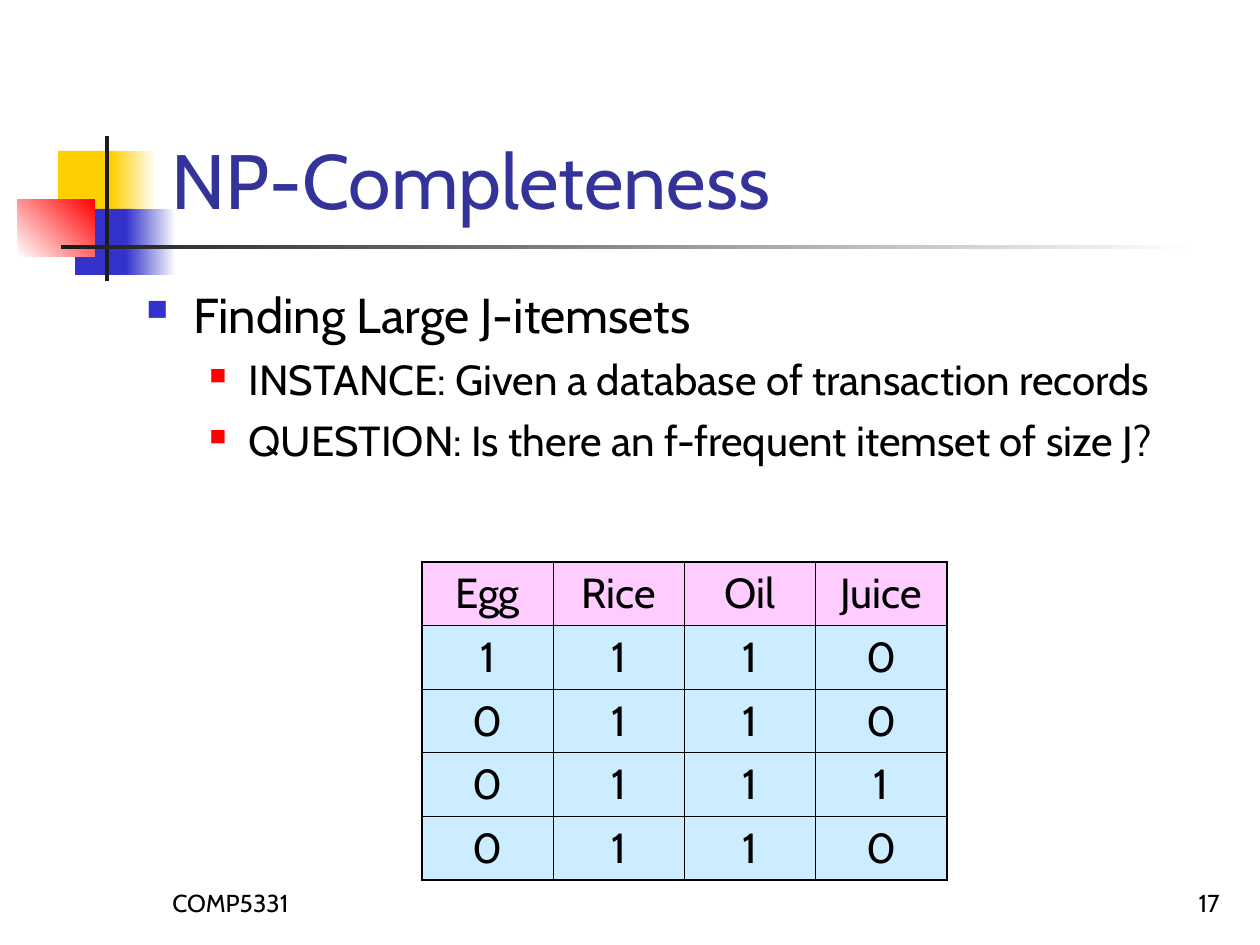
from lxml.etree import SubElement
from pptx import Presentation
from pptx.dml.color import RGBColor
from pptx.enum.shapes import MSO_SHAPE
from pptx.enum.text import MSO_ANCHOR, PP_ALIGN
from pptx.oxml.ns import qn
from pptx.util import Pt

PX = 914400 / 126
FONT = "Cabin"
COLORS = {
    "yellow": "FFCF01", "blue": "3333CC", "red": "FF0000", "white": "FFFFFF",
    "charcoal": "1C1C1C", "black": "000000", "title": "333399",
    "header": "FFCCFF", "cell": "CCECFF",
}
# Bullet colour, bullet size %, left margin px, hanging px, font pt, space before pt
LEVELS = [("blue", 60, 47, 47, 28, 0), ("red", 55, 102, 39, 24, 6)]
POINTS = [
    (0, "Finding Large J-itemsets"),
    (1, "INSTANCE: Given a database of transaction records"),
    (1, "QUESTION: Is there an f-frequent itemset of size J?"),
]
TRANSACTIONS = [
    ["Egg", "Rice", "Oil", "Juice"],
    [1, 1, 1, 0],
    [0, 1, 1, 0],
    [0, 1, 1, 1],
    [0, 1, 1, 0],
]


def emu(px):
    return round(px * PX)


def rgb(name):
    return RGBColor.from_string(COLORS[name])


def add_run(paragraph, text, size, color="black"):
    run = paragraph.add_run()
    run.text = text
    run.font.name, run.font.size = FONT, Pt(size)
    run.font.color.rgb = rgb(color)


def add_text_box(slide, box, anchor):
    frame = slide.shapes.add_textbox(*map(emu, box)).text_frame
    frame.word_wrap = True
    frame.vertical_anchor = anchor
    return frame


def add_block(slide, box, start, end=None, angle=0):
    block = slide.shapes.add_shape(MSO_SHAPE.RECTANGLE, *map(emu, box))
    block.shadow.inherit = False
    block.line.fill.background()
    if end is None:
        block.fill.solid()
        block.fill.fore_color.rgb = rgb(start)
        return
    block.fill.gradient()
    block.fill.gradient_angle = angle
    for stop, color, position in zip(block.fill.gradient_stops, (start, end), (0, 1)):
        stop.color.rgb = rgb(color)
        stop.position = position


def add_emblem(slide, left, top):
    def place(x, y, width, height, *paint):
        add_block(slide, (left + x, top + y, width, height), *paint)

    # Coloured squares
    place(40, 15, 60, 66, "yellow")
    place(93, 15, 45, 66, "yellow", "white")
    place(57, 73, 58, 66, "blue")
    place(108, 73, 50, 66, "blue", "white")
    place(0, 63, 77, 58, "white", "red", 45)
    # Crossing bars
    place(87, 0, 4, 145, "charcoal")
    place(43, 109, 1134, 4, "charcoal", "white")


def add_title(slide, box, text):
    title = slide.shapes.title
    title.left, title.top, title.width, title.height = map(emu, box)
    title.text_frame.vertical_anchor = MSO_ANCHOR.BOTTOM
    paragraph = title.text_frame.paragraphs[0]
    paragraph.alignment = PP_ALIGN.LEFT
    add_run(paragraph, text, 44, "title")


def add_bullet(paragraph, color, percent, margin, hanging):
    properties = paragraph._p.get_or_add_pPr()
    properties.set("marL", str(emu(margin)))
    properties.set("indent", str(-emu(hanging)))
    bullet_color = SubElement(properties, qn("a:buClr"))
    SubElement(bullet_color, qn("a:srgbClr"), val=COLORS[color])
    SubElement(properties, qn("a:buSzPct"), val=str(percent * 1000))
    SubElement(properties, qn("a:buChar"), char="■")


def add_points(slide, box):
    frame = add_text_box(slide, box, MSO_ANCHOR.TOP)
    for index, (level, text) in enumerate(POINTS):
        paragraph = frame.add_paragraph() if index else frame.paragraphs[0]
        *bullet, size, space = LEVELS[level]
        add_bullet(paragraph, *bullet)
        paragraph.level = level
        paragraph.space_before = Pt(space)
        add_run(paragraph, text, size)


def add_border(cell, side, width):
    line = SubElement(cell._tc.get_or_add_tcPr(), qn(f"a:{side}"), w=str(Pt(width)))
    fill = SubElement(line, qn("a:solidFill"))
    SubElement(fill, qn("a:srgbClr"), val=COLORS["black"])


def add_transactions(slide, box):
    left, top, width, height = map(emu, box)
    rows, cols = len(TRANSACTIONS), len(TRANSACTIONS[0])
    table = slide.shapes.add_table(rows, cols, left, top, width, height).table
    for r, record in enumerate(TRANSACTIONS):
        for c, value in enumerate(record):
            cell = table.cell(r, c)
            # Outer edges are heavier than inner ones
            edges = {"lnL": c == 0, "lnR": c == cols - 1,
                     "lnT": r == 0, "lnB": r == rows - 1}
            for side, outer in edges.items():
                add_border(cell, side, 1.08 if outer else 0.45)
            cell.fill.solid()
            cell.fill.fore_color.rgb = rgb("cell" if r else "header")
            paragraph = cell.text_frame.paragraphs[0]
            paragraph.alignment = PP_ALIGN.CENTER
            add_run(paragraph, str(value), 24)


def add_footer(slide, box, text, alignment):
    paragraph = add_text_box(slide, box, MSO_ANCHOR.BOTTOM).paragraphs[0]
    paragraph.alignment = alignment
    add_run(paragraph, text, 14)


def main():
    deck = Presentation()
    deck.slide_width, deck.slide_height = emu(1260), emu(945)
    slide = deck.slides.add_slide(deck.slide_layouts[5])
    add_emblem(slide, 18, 136)
    add_footer(slide, (160, 861, 262, 63), "COMP5331", PP_ALIGN.LEFT)
    add_footer(slide, (970, 861, 262, 63), "17", PP_ALIGN.RIGHT)
    add_title(slide, (159, 29, 1074, 202), "NP-Completeness")
    add_points(slide, (134, 278, 1091, 567))
    add_transactions(slide, (422, 562, 525, 318))
    deck.save("out.pptx")


if __name__ == "__main__":
    main()
